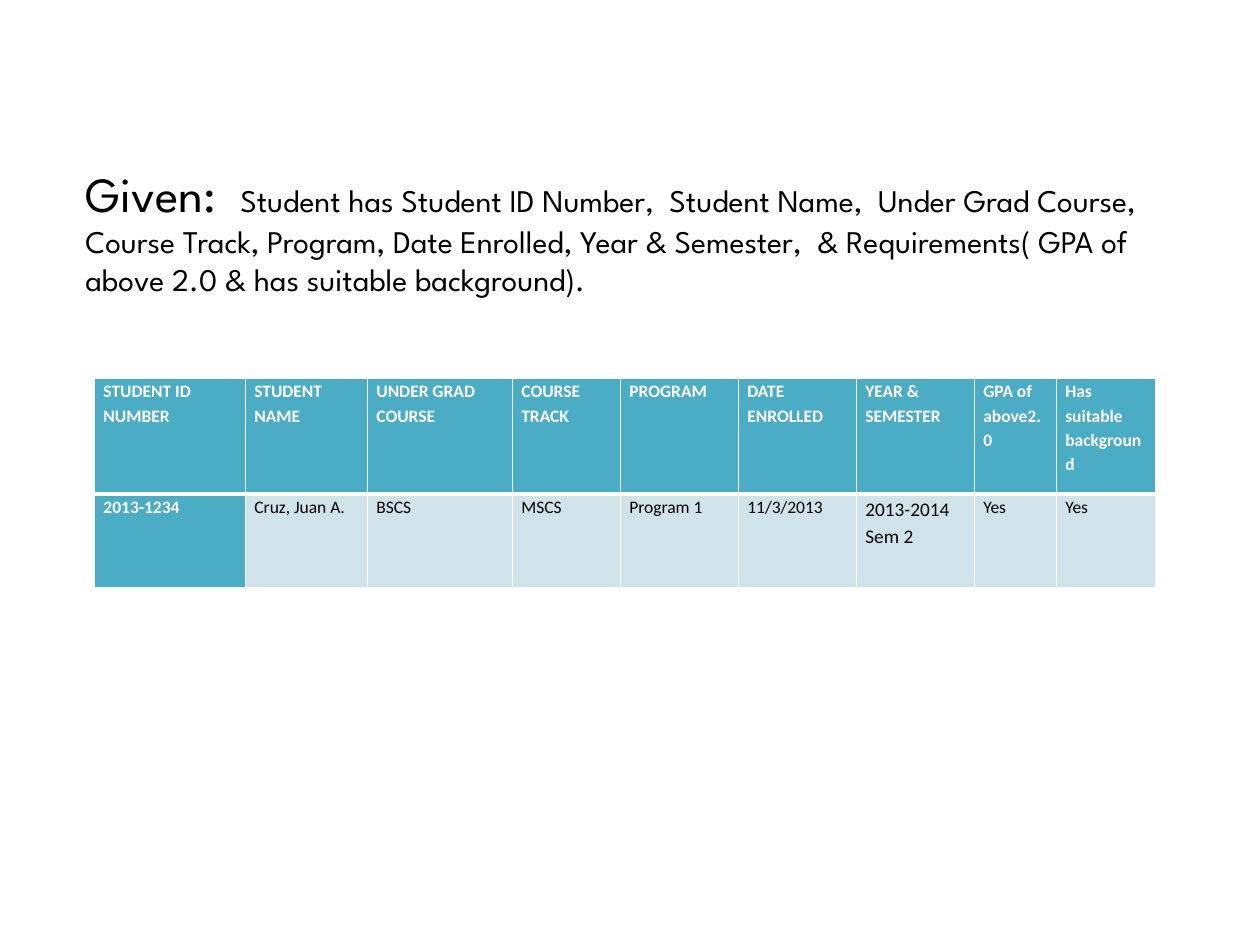
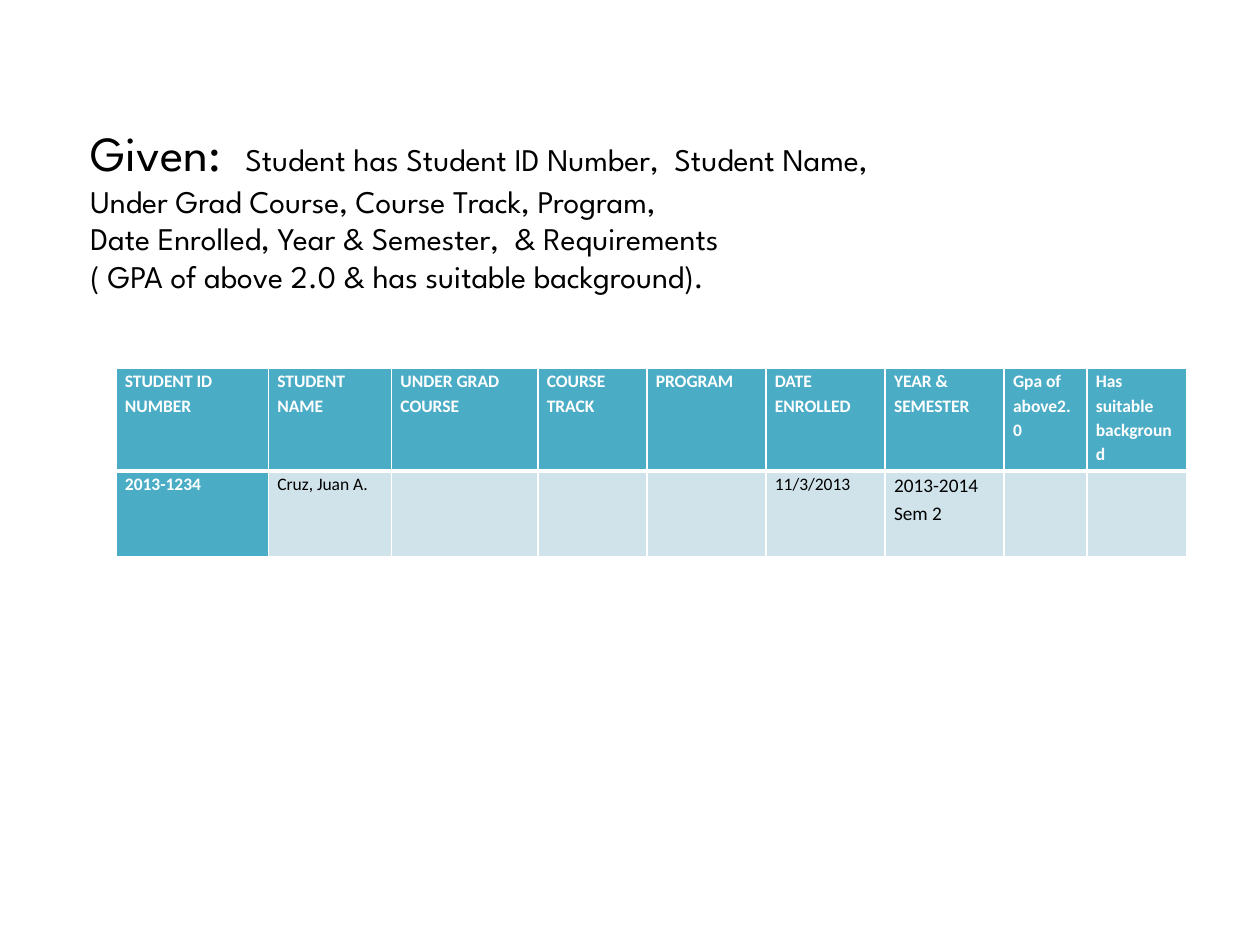
from lxml.etree import SubElement
from pptx import Presentation
from pptx.dml.color import RGBColor
from pptx.enum.text import MSO_ANCHOR, MSO_AUTO_SIZE
from pptx.oxml.ns import qn
from pptx.util import Emu, Pt

PIXEL = 914400 / 126
TEAL, PALE, WHITE, BLACK = "4BACC6", "D0E3EA", "FFFFFF", "000000"
LEAD = {"name": "League Spartan", "size": Pt(28)}
BODY = {"name": "League Spartan", "size": Pt(18)}
HEADING_CELL = {"name": "Calibri", "size": Pt(10), "bold": True}
VALUE_CELL = {"name": "Calibri", "size": Pt(10), "bold": False}
SEMESTER_CELL = {**VALUE_CELL, "size": Pt(11)}

COLUMN_WIDTHS = [151, 122, 145, 108, 118, 118, 118, 82, 99]
SEMESTER_COLUMN = 6
HEADINGS = ["STUDENT ID NUMBER", "STUDENT NAME", "UNDER GRAD COURSE", "COURSE TRACK",
            "PROGRAM", "DATE ENROLLED", "YEAR & SEMESTER"]


def px(length):
    """Turn pixels into EMU."""
    return Emu(round(length * PIXEL))


def color(value):
    """Turn a hex string into a colour."""
    return RGBColor.from_string(value)


def apply(target, values):
    """Set every attribute given in a dict."""
    for name, value in values.items():
        setattr(target, name, value)


def add_borders(cell, widths):
    """Draw white borders; widths are points for left, right, top, bottom."""
    properties = cell._tc.get_or_add_tcPr()
    for side, width in zip("LRTB", widths):
        line = SubElement(properties, qn(f"a:ln{side}"), w=str(Pt(width)))
        SubElement(SubElement(line, qn("a:solidFill")), qn("a:srgbClr"), val=WHITE)


class Deck:
    """Holds the presentation, its style and the current slide."""

    def __init__(self):
        """Start an empty 10 by 7.5 inch presentation."""
        self.presentation = Presentation()
        apply(self.presentation, {"slide_width": px(1260), "slide_height": px(945)})
        self.slide = None

    def add_slide(self):
        """Add a blank slide and make it current."""
        self.slide = self.presentation.slides.add_slide(self.presentation.slide_layouts[6])

    def add_run(self, paragraph, text, font, hex_color=BLACK):
        """Add one formatted run to a paragraph."""
        run = paragraph.add_run()
        run.text = text
        apply(run.font, font)
        run.font.color.rgb = color(hex_color)

    def add_given(self, box, lines, anchor):
        """Add the 'Given' statement, with a line break between the lines."""
        frame = self.slide.shapes.add_textbox(*map(px, box)).text_frame
        apply(frame, {"word_wrap": True, "vertical_anchor": anchor,
                      "auto_size": MSO_AUTO_SIZE.SHAPE_TO_FIT_TEXT})
        paragraph = frame.paragraphs[0]
        self.add_run(paragraph, "Given:  ", LEAD)
        for index, line in enumerate(lines):
            if index:
                paragraph.add_line_break()
            self.add_run(paragraph, line, BODY)

    def fill_cell(self, cell, text, font, fill, text_color, borders):
        """Write and format one table cell."""
        apply(cell, {"margin_left": px(9), "margin_right": px(9),
                     "margin_top": 0, "margin_bottom": 0})
        add_borders(cell, borders)
        cell.fill.solid()
        cell.fill.fore_color.rgb = color(fill)
        if text:
            paragraph = cell.text_frame.paragraphs[0]
            paragraph.line_spacing = 1.15
            self.add_run(paragraph, text, font, text_color)

    def add_student_table(self, left, top, width, heights, headings, values):
        """Add the student table: a heading row over one row of values."""
        scale = width / sum(COLUMN_WIDTHS)
        table = self.slide.shapes.add_table(
            2, len(COLUMN_WIDTHS), px(left), px(top), px(width), px(sum(heights))).table
        table.horz_banding = False
        for column, column_width in zip(table.columns, COLUMN_WIDTHS):
            column.width = px(column_width * scale)
        for row, height in zip(table.rows, heights):
            row.height = px(height)
        for index, (heading, value) in enumerate(zip(headings, values)):
            self.fill_cell(table.cell(0, index), heading, HEADING_CELL, TEAL, WHITE, (1, 1, 1, 3))
            if index == 0:
                style = HEADING_CELL, TEAL, WHITE
            else:
                font = SEMESTER_CELL if index == SEMESTER_COLUMN else VALUE_CELL
                style = font, PALE, BLACK
            self.fill_cell(table.cell(1, index), value, *style, (1, 1, 3, 1))


deck = Deck()

deck.add_slide()
deck.add_given(
    (73, 157, 1103, 149),
    ["Student has Student ID Number,  Student Name,  Under Grad Course, Course Track, Program, "
     "Date Enrolled, Year & Semester,  & Requirements( GPA of above 2.0 & has suitable "
     "background)."],
    MSO_ANCHOR.TOP)
deck.add_student_table(
    94.5, 378, 1061, (116, 94),
    HEADINGS + ["GPA of above2.0", "Has suitable background"],
    ["2013-1234", "Cruz, Juan A.", "BSCS", "MSCS", "Program 1", "11/3/2013",
     "2013-2014 Sem 2", "Yes", "Yes"])

deck.add_slide()
deck.add_student_table(
    116, 368, 1071, (103, 86),
    HEADINGS + ["Gpa of above2.0", "Has suitable background"],
    ["2013-1234", "Cruz, Juan A.", "", "", "", "11/3/2013", "2013-2014 Sem 2", "", ""])
deck.add_given(
    (78, 116, 1087, 186),
    ["Student has Student ID Number,  Student Name,",
     "Under Grad Course, Course Track, Program,",
     "Date Enrolled, Year & Semester,  & Requirements",
     "( GPA of above 2.0 & has suitable background)."],
    MSO_ANCHOR.MIDDLE)

deck.presentation.save("out.pptx")
